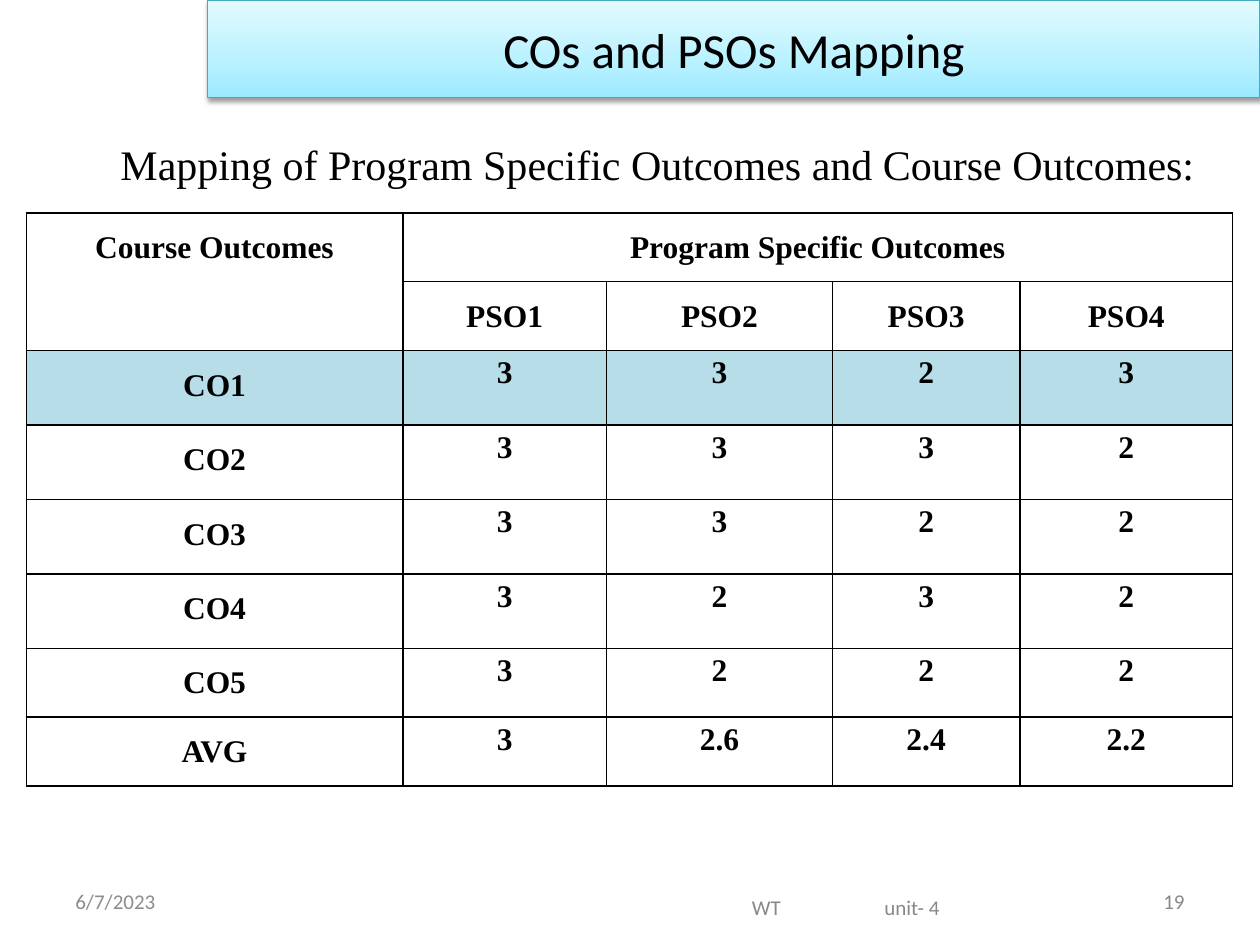
from lxml import etree
from pptx import Presentation
from pptx.dml.color import RGBColor
from pptx.enum.text import MSO_ANCHOR, MSO_AUTO_SIZE, PP_ALIGN
from pptx.oxml import parse_xml
from pptx.oxml.ns import nsdecls, qn
from pptx.util import Cm, Pt

LEFT, MID, RIGHT = PP_ALIGN.LEFT, PP_ALIGN.CENTER, PP_ALIGN.RIGHT
TOP, CENTER = MSO_ANCHOR.TOP, MSO_ANCHOR.MIDDLE
FIXED = MSO_AUTO_SIZE.NONE
SERIF, SANS = "Times New Roman", "Calibri"
BLACK, GRAY, BLUE = "000000", "888888", "B7DEE8"

COLS = [7.59, 4.11, 4.55, 3.78, 4.29]
ROWS = [1.39, 1.39, 1.5, 1.5, 1.5, 1.5, 1.39, 1.39]
HEADS = [
    ["Course Outcomes", "Program Specific Outcomes", "", "", ""],
    ["", "PSO1", "PSO2", "PSO3", "PSO4"],
]
MARKS = [
    ["CO1", "3", "3", "2", "3"],
    ["CO2", "3", "3", "3", "2"],
    ["CO3", "3", "3", "2", "2"],
    ["CO4", "3", "2", "3", "2"],
    ["CO5", "3", "2", "2", "2"],
    ["AVG", "3", "2.6", "2.4", "2.2"],
]


def color(code):
    return RGBColor.from_string(code)


def apply(item, values):
    for name, value in values.items():
        setattr(item, name, value)


def place(shape, box):
    names = ("left", "top", "width", "height")
    apply(shape, dict(zip(names, map(Cm, box))))


def write(frame, text, size, face, ink=BLACK, align=LEFT, bold=False):
    para = frame.paragraphs[0]
    para.text = text
    para.alignment = align
    apply(para.font, {"size": Pt(size), "name": face, "bold": bold})
    para.font.color.rgb = color(ink)
    return para


def label(slide, box, text, size, face, ink, align=LEFT, anchor=CENTER):
    frame = slide.shapes.add_textbox(*map(Cm, box)).text_frame
    apply(frame, {"word_wrap": True, "vertical_anchor": anchor})
    write(frame, text, size, face, ink, align)
    return frame


def banner(slide, box, text):
    title = slide.shapes.title
    place(title, box)
    props = title.element.spPr
    # Gradient running from the bottom edge to the top
    stops = "".join(
        f'<a:gs pos="{at * 1000}"><a:srgbClr val="{code}"/></a:gs>'
        for at, code in [(0, "9BE9FF"), (35, "B8F1FF"), (100, "E2FBFF")]
    )
    props.append(parse_xml(
        f'<a:gradFill {nsdecls("a")} rotWithShape="1"><a:gsLst>{stops}</a:gsLst>'
        '<a:lin ang="16200000" scaled="0"/></a:gradFill>'
    ))
    title.line.color.rgb = color("45A9C4")
    title.line.width = Pt(0.75)
    # Soft shadow below
    props.append(parse_xml(
        f'<a:effectLst {nsdecls("a")}><a:outerShdw blurRad="{Pt(3.1)}" '
        f'dist="{Pt(1.6)}" dir="5400000" rotWithShape="0"><a:srgbClr val="{BLACK}">'
        '<a:alpha val="38000"/></a:srgbClr></a:outerShdw></a:effectLst>'
    ))
    frame = title.text_frame
    apply(frame, {"auto_size": FIXED, "word_wrap": True, "vertical_anchor": CENTER})
    write(frame, text, 28, SANS, align=MID)


def border(cell):
    props = cell._tc.get_or_add_tcPr()
    for side in ("lnL", "lnR", "lnT", "lnB"):
        line = etree.SubElement(props, qn(f"a:{side}"), w=str(Pt(1)))
        fill = etree.SubElement(line, qn("a:solidFill"))
        etree.SubElement(fill, qn("a:srgbClr"), val=BLACK)


def grid(slide, box):
    left, top = box
    size = (left, top, sum(COLS), sum(ROWS))
    table = slide.shapes.add_table(len(ROWS), len(COLS), *map(Cm, size)).table
    apply(table, {"first_row": False, "horz_banding": False})
    for col, width in zip(table.columns, COLS):
        col.width = Cm(width)
    for row, height in zip(table.rows, ROWS):
        row.height = Cm(height)

    for r, texts in enumerate(HEADS + MARKS):
        for c, text in enumerate(texts):
            cell = table.cell(r, c)
            border(cell)
            if r == len(HEADS):
                cell.fill.solid()
                cell.fill.fore_color.rgb = color(BLUE)
            else:
                cell.fill.background()
            # Marks sit at the top edge, headings keep a margin
            pad = Cm(0.25) if r < len(HEADS) or c == 0 else 0
            apply(cell, {
                "margin_left": Cm(0.18), "margin_right": Cm(0.18),
                "margin_top": pad, "margin_bottom": pad,
                "vertical_anchor": TOP,
            })
            para = write(cell.text_frame, text, 18, SERIF, align=MID, bold=True)
            para.line_spacing = 1.15

    table.cell(0, 0).merge(table.cell(1, 0))
    table.cell(0, 1).merge(table.cell(0, 4))


def footer(slide, box):
    left, top, width, height = box
    side = 5.92
    label(slide, (left, top, side, height), "6/7/2023", 12, SANS, "8C8C8C")
    label(slide, (left + width - side, top, side, height), "19", 12, SANS, GRAY, RIGHT)
    # Course and unit, parted by a tab stop
    note = label(slide, (left + 5.51, top + 0.13, 13.97, height), "", 12, SANS, GRAY)
    note.margin_left = Cm(8.38)
    para = note.paragraphs[0]
    tabs = etree.SubElement(para._p.get_or_add_pPr(), qn("a:tabLst"))
    etree.SubElement(tabs, qn("a:tab"), pos=str(Cm(2.67)), algn="l")
    write(note, "WT\tunit- 4", 12, SANS, GRAY)


def main():
    deck = Presentation()
    apply(deck, {"slide_width": Cm(25.4), "slide_height": Cm(19.05)})
    slide = deck.slides.add_slide(deck.slide_layouts.get_by_name("Title Only"))
    banner(slide, (4.19, 0, 21.21, 1.96), "COs and PSOs Mapping")
    grid(slide, (0.53, 4.29))
    label(slide, (2.18, 2.67, 23.2, 2.31),
          "Mapping of Program Specific Outcomes and Course Outcomes:",
          24, SERIF, BLACK, anchor=TOP)
    footer(slide, (1.27, 17.65, 22.86, 1.02))
    deck.save("out.pptx")


if __name__ == "__main__":
    main()
